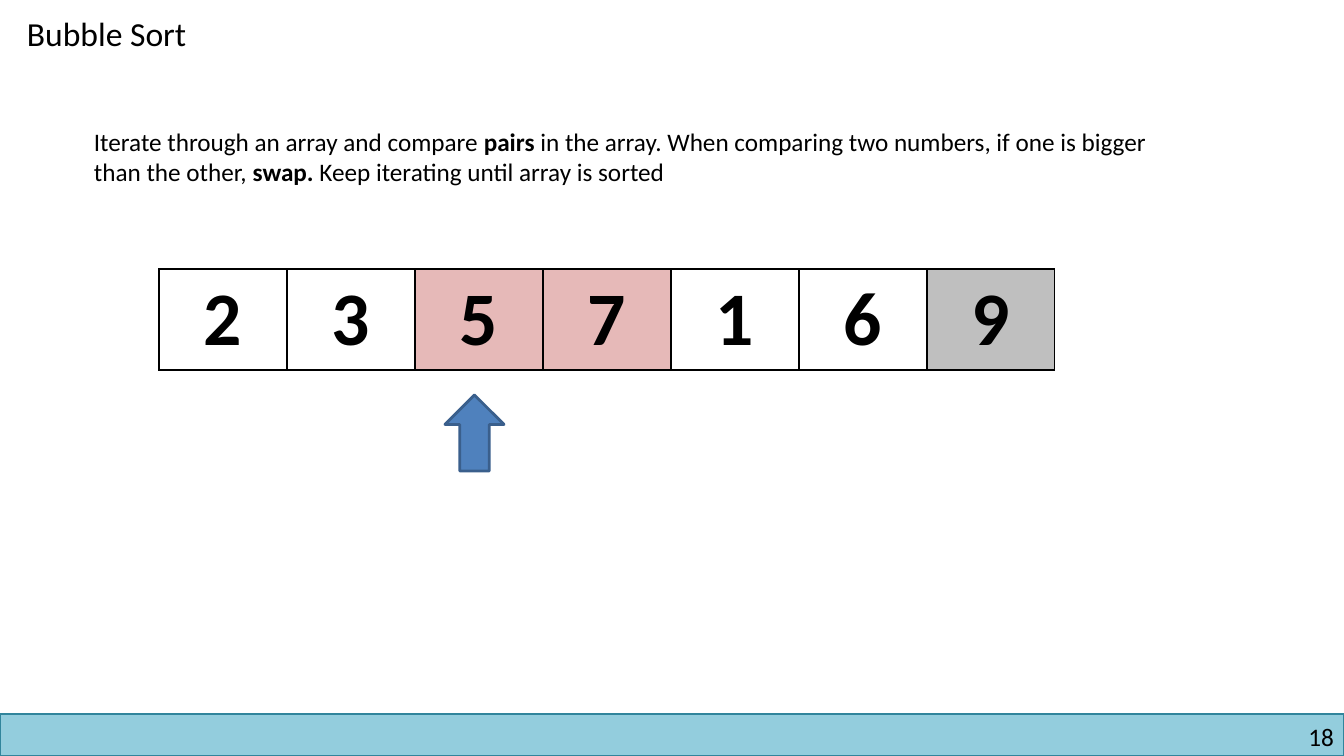
from dataclasses import dataclass

import pptx
import pptx.dml.color
import pptx.enum.shapes
import pptx.enum.text
import pptx.oxml
import pptx.oxml.ns
import pptx.util

EMU_PER_PIXEL = 914400 / 100.8
ALIGN = pptx.enum.text.PP_ALIGN
SHAPES = pptx.enum.shapes.MSO_SHAPE


@dataclass(frozen=True)
class Theme:
    font: str = "Calibri"
    text: str = "000000"
    bar: str = "93CDDD"
    bar_line: str = "31859C"
    plain: str = "FFFFFF"
    compared: str = "E6B9B8"
    done: str = "BFBFBF"
    arrow: str = "4F81BD"
    arrow_line: str = "3A5F8C"
    title_size: int = 24
    body_size: int = 18
    number_size: int = 54


THEME = Theme()


def px(length):
    return pptx.util.Emu(round(length * EMU_PER_PIXEL))


def rgb(color):
    return pptx.dml.color.RGBColor.from_string(color)


def write_text(text_frame, text, size=THEME.body_size, bold=False, align=ALIGN.LEFT):
    """Write a paragraph; pieces between ** marks are bold."""
    paragraph = text_frame.paragraphs[0]
    paragraph.alignment = align
    for index, piece in enumerate(text.split("**")):
        run = paragraph.add_run()
        run.text = piece
        run.font.name = THEME.font
        run.font.size = pptx.util.Pt(size)
        run.font.bold = bold or index % 2 == 1
        run.font.color.rgb = rgb(THEME.text)


def add_text(slide, box, text, wrap=True, inset=True, **text_format):
    text_frame = slide.shapes.add_textbox(*map(px, box)).text_frame
    text_frame.word_wrap = wrap
    if not inset:
        text_frame.margin_left = text_frame.margin_right = 0
        text_frame.margin_top = text_frame.margin_bottom = 0
    write_text(text_frame, text, **text_format)


def add_shape(slide, kind, box, fill, line, line_width):
    shape = slide.shapes.add_shape(kind, *map(px, box))
    shape.shadow.inherit = False
    shape.fill.solid()
    shape.fill.fore_color.rgb = rgb(fill)
    shape.line.color.rgb = rgb(line)
    shape.line.width = pptx.util.Pt(line_width)


def add_cell_borders(cell, color, width):
    properties = cell._tc.get_or_add_tcPr()
    for side in ("lnL", "lnR", "lnT", "lnB"):
        properties.append(pptx.oxml.parse_xml(
            f'<a:{side} {pptx.oxml.ns.nsdecls("a")} w="{pptx.util.Pt(width)}">'
            f'<a:solidFill><a:srgbClr val="{color}"/></a:solidFill></a:{side}>'))


def add_array(slide, box, numbers, fills):
    table = slide.shapes.add_table(1, len(numbers), *map(px, box)).table
    table.first_row = table.horz_banding = False
    for index, number in enumerate(numbers):
        table.columns[index].width = px(box[2] // len(numbers))
        cell = table.cell(0, index)
        add_cell_borders(cell, THEME.text, 1)
        cell.fill.solid()
        cell.fill.fore_color.rgb = rgb(fills.get(index, THEME.plain))
        write_text(cell.text_frame, str(number), size=THEME.number_size,
                   bold=True, align=ALIGN.CENTER)


def main():
    presentation = pptx.Presentation()
    presentation.slide_width = px(1344)
    presentation.slide_height = px(756)
    slide = presentation.slides.add_slide(presentation.slide_layouts[6])

    # Footer bar and slide number
    add_shape(slide, SHAPES.RECTANGLE, (0, 714, 1344, 42),
              THEME.bar, THEME.bar_line, 1)
    add_text(slide, (1025, 721, 309, 30), "18", inset=False, align=ALIGN.RIGHT)

    # Title and explanation
    add_text(slide, (17, 8, 198, 50), "Bubble Sort", wrap=False,
             size=THEME.title_size)
    add_text(slide, (84, 121, 1117, 72),
             "Iterate through an array and compare **pairs** in the array. "
             "When comparing two numbers, if one is bigger than the other, "
             "**swap. **Keep iterating until array is sorted")

    # Array with the compared pair and the sorted end
    add_array(slide, (159, 269, 896, 101), [2, 3, 5, 7, 1, 6, 9],
              {2: THEME.compared, 3: THEME.compared, 6: THEME.done})

    # Pointer to the current position
    add_shape(slide, SHAPES.UP_ARROW, (445, 395, 59, 76),
              THEME.arrow, THEME.arrow_line, 2)

    presentation.save("out.pptx")


if __name__ == "__main__":
    main()
